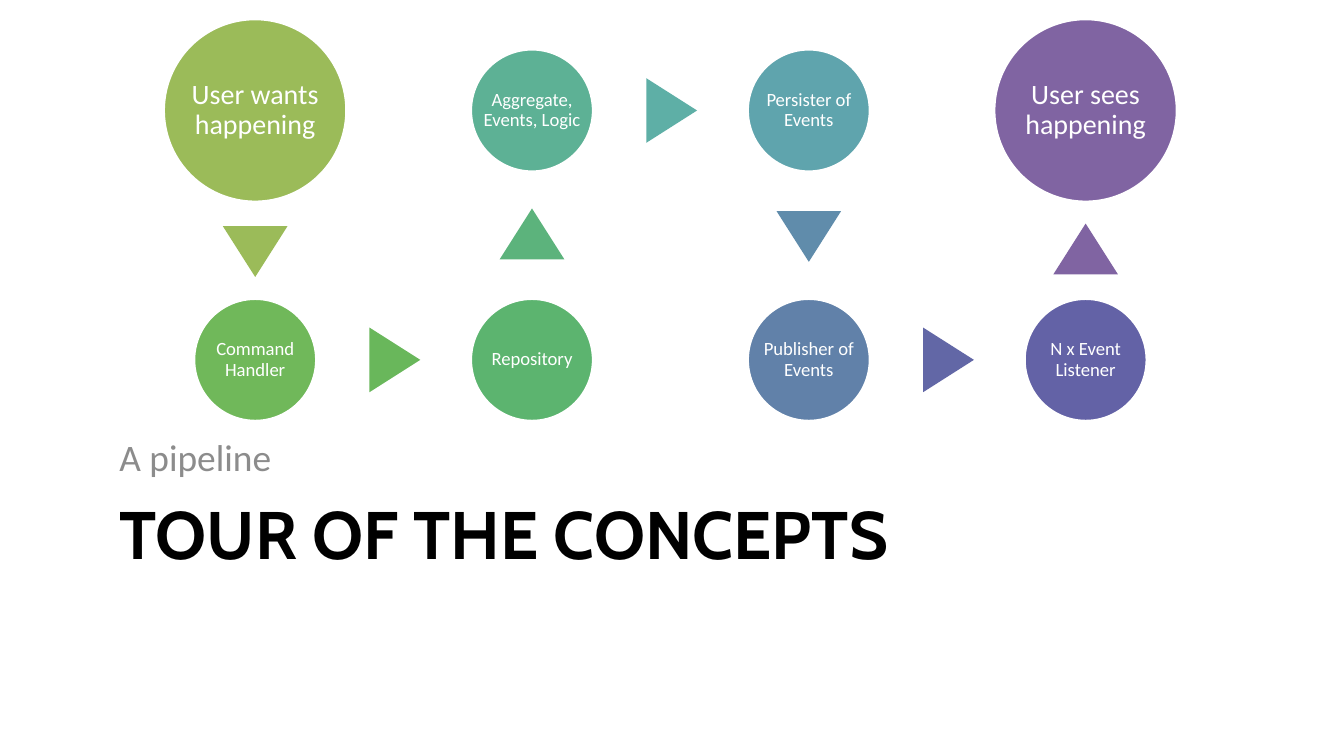
"""Build the pipeline slide of the concepts tour."""
from dataclasses import dataclass
from itertools import pairwise
from math import atan2, degrees, hypot

from pptx import Presentation
from pptx import util as u
from pptx.dml.color import RGBColor
from pptx.enum import shapes, text
from pptx.shapes.autoshape import Shape
from pptx.slide import Slide


@dataclass(frozen=True)
class Theme:
    sans: str = "Calibri"
    head: str = "Cabin"
    white: str = "FFFFFF"
    black: str = "000000"
    gray: str = "8C8C8C"
    title: float = 36
    body: float = 20
    large: float = 15
    small: float = 10


@dataclass(frozen=True)
class Step:
    label: str
    col: int
    row: int
    fill: str
    arrow: str = ""
    big: bool = False

    @property
    def mid(self) -> tuple[float, float]:
        return 136.7 + 148.3 * self.col, 59.2 + 133.6 * self.row

    @property
    def size(self) -> float:
        return 98.6 if self.big else 66.2


THEME = Theme()
STEPS = [
    Step("User wants happening", 0, 0, "9BBB59", "9BBB59", True),
    Step("Command Handler", 0, 1, "70B85A", "69B75B"),
    Step("Repository", 1, 1, "5CB46F", "5CB37C"),
    Step("Aggregate, Events, Logic", 1, 0, "5DB195", "5EAFA6"),
    Step("Persister of Events", 2, 0, "5FA4AD", "608CAB"),
    Step("Publisher of Events", 2, 1, "6181A9", "6267A6"),
    Step("N x Event Listener", 3, 1, "6362A6", "8064A2"),
    Step("User sees happening", 3, 0, "8064A2", big=True),
]
TIP_W, TIP_H, NUDGE = 34.6, 27.2, 0.7


def add_solid(slide: Slide, kind: shapes.MSO_SHAPE, mid: tuple[float, float],
              wide: float, high: float, fill: str) -> Shape:
    x, y = mid
    shape = slide.shapes.add_shape(kind, u.Pt(x - wide / 2), u.Pt(y - high / 2),
                                   u.Pt(wide), u.Pt(high))
    shape.shadow.inherit = False
    shape.fill.solid()
    shape.fill.fore_color.rgb = RGBColor.from_string(fill)
    shape.line.fill.background()
    return shape


def add_text(slide: Slide, words: str, box: tuple[float, float, float, float],
             font: str, size: float, color: str, anchor: text.MSO_ANCHOR,
             bold: bool = False) -> Shape:
    shape = slide.shapes.add_textbox(*map(u.Pt, box))
    frame = shape.text_frame
    frame.word_wrap = True
    frame.vertical_anchor = anchor
    para = frame.paragraphs[0]
    para.text = words
    para.font.name, para.font.size, para.font.bold = font, u.Pt(size), bold
    para.font.color.rgb = RGBColor.from_string(color)
    return shape


def add_step(slide: Slide, step: Step) -> None:
    size, (x, y) = step.size, step.mid
    disc = add_solid(slide, shapes.MSO_SHAPE.OVAL, step.mid, size, size, step.fill)
    disc.line.color.rgb = RGBColor.from_string(THEME.white)
    disc.line.width = u.Pt(2)
    label = add_text(slide, step.label, (x - size / 2, y - size / 2, size, size),
                     THEME.sans, THEME.large if step.big else THEME.small,
                     THEME.white, text.MSO_ANCHOR.MIDDLE)
    frame = label.text_frame
    frame.margin_left = frame.margin_right = u.Pt(1)
    frame.margin_top = frame.margin_bottom = u.Pt(1)
    para = frame.paragraphs[0]
    para.alignment = text.PP_ALIGN.CENTER
    para.line_spacing = 0.9


def add_arrow(slide: Slide, start: Step, end: Step) -> None:
    (x, y), (x2, y2) = start.mid, end.mid
    dx, dy = x2 - x, y2 - y
    span = hypot(dx, dy)
    part = (span / 2 + (start.size - end.size) / 4 + NUDGE) / span
    tip = add_solid(slide, shapes.MSO_SHAPE.ISOSCELES_TRIANGLE,
                    (x + dx * part, y + dy * part), TIP_W, TIP_H, start.arrow)
    tip.rotation = degrees(atan2(dx, -dy))


def main() -> None:
    deck = Presentation()
    deck.slide_width, deck.slide_height = u.Pt(720), u.Pt(405)
    slide = deck.slides.add_slide(deck.slide_layouts[6])
    add_text(slide, "TOUR OF THE CONCEPTS", (56.9, 260, 612, 80.5), THEME.head,
             THEME.title, THEME.black, text.MSO_ANCHOR.TOP, True)
    add_text(slide, "A pipeline", (56.9, 171.5, 612, 88.5), THEME.sans,
             THEME.body, THEME.gray, text.MSO_ANCHOR.BOTTOM)
    for step in STEPS:
        add_step(slide, step)
    for start, end in pairwise(STEPS):
        add_arrow(slide, start, end)
    deck.save("out.pptx")


if __name__ == "__main__":
    main()
